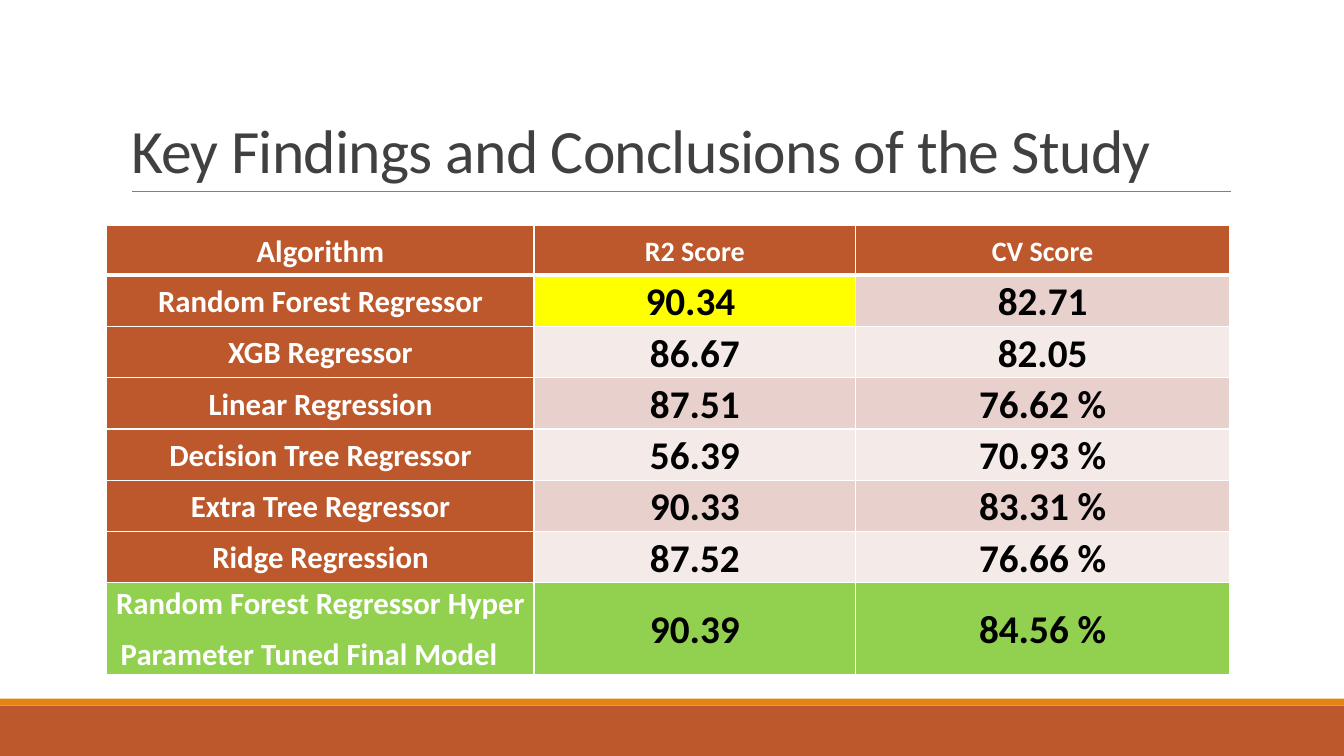
from lxml import etree
from pptx import Presentation
from pptx.dml.color import RGBColor
from pptx.enum.shapes import MSO_CONNECTOR, MSO_SHAPE
from pptx.enum.text import MSO_ANCHOR, MSO_AUTO_SIZE, PP_ALIGN
from pptx.oxml.ns import qn
from pptx.util import Pt

RECT, STRAIGHT = MSO_SHAPE.RECTANGLE, MSO_CONNECTOR.STRAIGHT
LEFT, CENTER = PP_ALIGN.LEFT, PP_ALIGN.CENTER
MIDDLE, BOTTOM = MSO_ANCHOR.MIDDLE, MSO_ANCHOR.BOTTOM
NO_FIT = MSO_AUTO_SIZE.NONE

TITLE = "Key Findings and Conclusions of the Study"
ROWS = [
    ("Algorithm", "R2 Score", "CV Score"),
    ("Random Forest Regressor", "90.34 ", "82.71"),
    ("XGB Regressor", "86.67", "82.05"),
    ("Linear Regression", "87.51", "76.62 %"),
    ("Decision Tree Regressor", "56.39", "70.93 %"),
    ("Extra Tree Regressor", "90.33", "83.31 %"),
    ("Ridge Regression", "87.52", "76.66 %"),
    ("Random Forest Regressor Hyper\n Parameter Tuned Final Model", "90.39", "84.56 %"),
]
FONT = "Calibri"
COLORS = {
    "rust": "BD582C", "orange": "E48312", "rule": "808080", "title": "404040",
    "white": "FFFFFF", "black": "000000", "best": "FFFF00", "final": "92D050",
    "dark band": "E8D1CD", "light band": "F4EAE8",
}
SLIDE_W, SLIDE_H = 960, 540
FOOTER_BANDS = [("rust", 504, 36), ("orange", 499, 5)]  # colour, top, height
TITLE_BOX = (86.4, 22.4, 792, 114.4)
RULE = (94.3, 136.8, 879.1, 136.8)
TABLE_POS = (76.3, 161.2)
COL_WIDTHS = (305.2, 229.7, 267.2)
ROW_HEIGHT = 35.3
LAST = len(ROWS) - 1
CELL_FORMAT = {
    "margin_left": Pt(5), "margin_right": Pt(5), "margin_top": 0,
    "margin_bottom": 0, "vertical_anchor": MIDDLE,
}
CELL_PARAGRAPH = {"line_spacing": 1.07, "space_after": Pt(8)}


def rgb(name):
    return RGBColor.from_string(COLORS[name])


def set_format(obj, values):
    for name, value in values.items():
        setattr(obj, name, value)


def style_run(r, size, color, bold):
    set_format(r.font, {"name": FONT, "size": Pt(size), "bold": bold})
    r.font.color.rgb = rgb(color)


def add_border(cell, side, width):
    ln = etree.SubElement(cell._tc.get_or_add_tcPr(), qn("a:ln" + side), w=str(Pt(width)))
    fill = etree.SubElement(ln, qn("a:solidFill"))
    etree.SubElement(fill, qn("a:srgbClr"), val=COLORS["white"])


def cell_fill(row, col):
    if row == LAST:
        return "final"
    if row == 0 or col == 0:
        return "rust"
    if (row, col) == (1, 1):
        return "best"
    return "dark band" if row % 2 else "light band"


def cell_text_style(row, col):
    """Return the size and colour of a cell's text."""
    if col == 0:
        return 22, "white"
    return (20, "white") if row == 0 else (28, "black")


def fill_cell(cell, row, col, text):
    set_format(cell, CELL_FORMAT)
    for side in "LRTB":
        under_header = (row, side) in ((0, "B"), (1, "T"))
        add_border(cell, side, 3 if under_header else 1)
    cell.fill.solid()
    cell.fill.fore_color.rgb = rgb(cell_fill(row, col))
    size, color = cell_text_style(row, col)
    tf = cell.text_frame
    for i, line in enumerate(text.split("\n")):
        p = tf.add_paragraph() if i else tf.paragraphs[0]
        set_format(p, CELL_PARAGRAPH)
        p.alignment = LEFT if i else CENTER
        r = p.add_run()
        r.text = line
        style_run(r, size, color, True)


def add_footer_and_rule(s):
    for color, top, height in FOOTER_BANDS:
        sp = s.shapes.add_shape(RECT, 0, Pt(top), Pt(SLIDE_W), Pt(height))
        sp.shadow.inherit = False
        sp.fill.solid()
        sp.fill.fore_color.rgb = rgb(color)
        sp.line.fill.background()
    rule = s.shapes.add_connector(STRAIGHT, *map(Pt, RULE))
    rule.line.color.rgb = rgb("rule")
    rule.line.width = Pt(0.5)
    etree.SubElement(rule._element.spPr, qn("a:effectLst"))


def add_title(s):
    title = s.shapes.title
    set_format(title, dict(zip(("left", "top", "width", "height"), map(Pt, TITLE_BOX))))
    tf = title.text_frame
    set_format(tf, {"word_wrap": True, "auto_size": NO_FIT, "vertical_anchor": BOTTOM})
    p = tf.paragraphs[0]
    set_format(p, {"alignment": LEFT, "line_spacing": 0.85})
    r = p.add_run()
    r.text = TITLE
    style_run(r, 44, "title", False)
    r.font._element.set("spc", "-50")


def add_score_table(s):
    frame = s.shapes.add_table(
        len(ROWS), len(COL_WIDTHS), *map(Pt, TABLE_POS),
        Pt(sum(COL_WIDTHS)), Pt(ROW_HEIGHT * len(ROWS)))
    table = frame.table
    for column, width in zip(table.columns, COL_WIDTHS):
        column.width = Pt(width)
    for i, values in enumerate(ROWS):
        table.rows[i].height = Pt(ROW_HEIGHT)
        for j, text in enumerate(values):
            fill_cell(table.cell(i, j), i, j, text)


def main():
    prs = Presentation()
    prs.slide_width, prs.slide_height = Pt(SLIDE_W), Pt(SLIDE_H)
    s = prs.slides.add_slide(prs.slide_layouts[5])
    add_footer_and_rule(s)
    add_title(s)
    add_score_table(s)
    prs.save("out.pptx")


if __name__ == "__main__":
    main()
